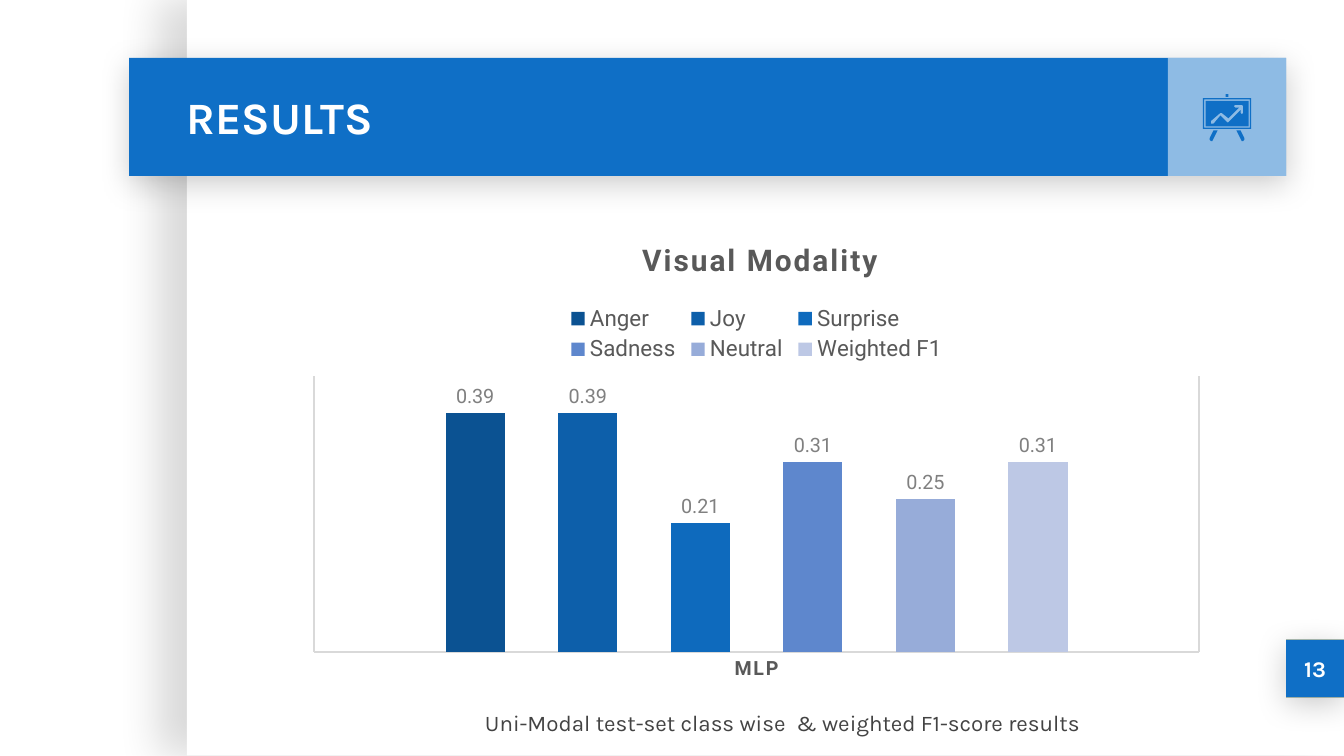
from lxml.etree import SubElement
from pptx import Presentation
from pptx.chart.data import CategoryChartData
from pptx.dml.color import RGBColor
from pptx.enum.chart import XL_CHART_TYPE as ChartType
from pptx.enum.chart import XL_LABEL_POSITION as LabelPosition
from pptx.enum.chart import XL_LEGEND_POSITION as LegendPosition
from pptx.enum.chart import XL_TICK_MARK as TickMark
from pptx.enum.shapes import MSO_SHAPE as Shape
from pptx.enum.text import MSO_ANCHOR as Anchor
from pptx.enum.text import PP_ALIGN as Align
from pptx.oxml import parse_xml
from pptx.oxml.ns import nsdecls, qn
from pptx.util import Inches, Pt

COLORS = {
    "white": "FFFFFF", "blue": "0F6FC6", "yellow": "FFB000", "caption": "434343",
    "heading": "595959", "label": "808080", "axis": "D9D9D9", "shadow": "000000",
}
TITLE = "RESULTS"
PAGE_NUMBER = "13"
CAPTION = "Uni-Modal test-set class wise\u00a0 & weighted F1-score results"
CHART_TITLE = "Visual Modality"
CATEGORIES = ["MLP"]
SERIES = [
    ("Anger", 0.39, "0B5292"), ("Joy", 0.39, "0D5FAA"),
    ("Surprise", 0.21, "0E6ABD"), ("Sadness", 0.31, "5E87CD"),
    ("Neutral", 0.25, "97ACD9"), ("Weighted F1", 0.31, "BDC8E5"),
]
PAGE_BOX = (1.39, 0, 8.61, 5.62)
BANNER_BOX = (0.96, 0.43, 8.61, 0.88)
ICON_BOX = (8.69, 0.43, 0.88, 0.88)
TITLE_BOX = (1.29, 0.43, 7.37, 0.88)
NUMBER_BOX = (9.57, 4.76, 0.43, 0.43)
CAPTION_BOX = (3.51, 5.23, 5.61, 0.3)
CHART_BOX = (2.2, 1.65, 6.86, 3.48)
PAGE_SHADOW = (15, 22.5, 15, 180)
RAISED_SHADOW = (20, 16.9, 3.8, 90)


def rectangle(left, top, right, bottom):
    return [(left, top), (right, top), (right, bottom), (left, bottom)]


EASEL_CENTER = 9.13
LEFT_LEG = [(9.03, 0.97), (9, 1.03), (9, 1.04), (9.01, 1.05), (9.02, 1.05), (9.06, 0.97)]
RIGHT_LEG = [(2 * EASEL_CENTER - x, y) for x, y in LEFT_LEG]
TREND_ARROW = [
    (9.19, 0.78), (9.24, 0.78), (9.25, 0.79), (9.25, 0.84), (9.24, 0.85),
    (9.23, 0.84), (9.23, 0.82), (9.14, 0.91), (9.13, 0.91), (9.08, 0.86),
    (9.03, 0.92), (9.01, 0.92), (9.01, 0.9), (9.08, 0.84), (9.09, 0.84),
    (9.14, 0.88), (9.22, 0.8), (9.19, 0.8), (9.18, 0.79),
]
EASEL = [
    [rectangle(8.96, 0.74, 9.3, 0.95), rectangle(8.95, 0.73, 9.31, 0.96)],
    [[(9.13, 0.7), (9.12, 0.7), (9.12, 0.72), (9.14, 0.72), (9.14, 0.7)]],
    [LEFT_LEG],
    [RIGHT_LEG],
    [TREND_ARROW, rectangle(8.97, 0.75, 9.29, 0.94)],
]


def rgb(value):
    return RGBColor.from_string(value)


def inches(values):
    return [Inches(value) for value in values]


def paint(shape, color):
    shape.shadow.inherit = False
    shape.fill.solid()
    shape.fill.fore_color.rgb = rgb(color)
    shape.line.fill.background()


def add_box(slide, box, color, shadow=None, opacity=None):
    shape = slide.shapes.add_shape(Shape.RECTANGLE, *inches(box))
    paint(shape, color)
    properties = shape.element.spPr
    if shadow:
        alpha, blur, distance, angle = shadow
        outer = SubElement(
            properties.find(qn("a:effectLst")), qn("a:outerShdw"),
            blurRad=str(Pt(blur)), dist=str(Pt(distance)),
            dir=str(angle * 60000), algn="bl", rotWithShape="0")
        tint = SubElement(outer, qn("a:srgbClr"), val=COLORS["shadow"])
        SubElement(tint, qn("a:alpha"), val=str(alpha * 1000))
    if opacity:
        tint = properties.find(qn("a:solidFill")).find(qn("a:srgbClr"))
        SubElement(tint, qn("a:alpha"), val=str(opacity * 1000))
    return shape


def style_font(font, size, color, name="Roboto", bold=False):
    font.name, font.size, font.bold = name, Pt(size), bold
    font.color.rgb = rgb(color)


def write(shape, text, size, color, bold=False, align=Align.LEFT, margin=0.1):
    frame = shape.text_frame
    frame.text = text
    frame.word_wrap = True
    frame.vertical_anchor = Anchor.MIDDLE
    frame.margin_left = frame.margin_right = Inches(0.1)
    frame.margin_top = frame.margin_bottom = Inches(margin)
    paragraph = frame.paragraphs[0]
    paragraph.alignment = align
    style_font(paragraph.runs[0].font, size, color, "Karla", bold)


def add_outline(slide, contours, color):
    first, *others = [[inches(point) for point in contour] for contour in contours]
    builder = slide.shapes.build_freeform(*first[0])
    builder.add_line_segments(first[1:])
    for contour in others:
        builder.move_to(*contour[0])
        builder.add_line_segments(contour[1:])
    paint(builder.convert_to_shape(), color)


def set_layout(element, previous, x, y, width=None, height=None, inner=False):
    parts = [("xMode", "edge"), ("yMode", "edge"), ("x", x), ("y", y)]
    if inner:
        parts.insert(0, ("layoutTarget", "inner"))
    if width:
        parts += [("w", width), ("h", height)]
    body = "".join(f'<c:{tag} val="{value}"/>' for tag, value in parts)
    for old in element.findall(qn("c:layout")):
        element.remove(old)
    layout = parse_xml(
        f'<c:layout {nsdecls("c")}><c:manualLayout>{body}</c:manualLayout></c:layout>')
    anchor = element.find(qn(previous)) if previous else None
    element.insert(0 if anchor is None else element.index(anchor) + 1, layout)


def add_results_chart(slide):
    data = CategoryChartData()
    data.categories = CATEGORIES
    for name, value, _ in SERIES:
        data.add_series(name, [value])
    chart = slide.shapes.add_chart(
        ChartType.COLUMN_CLUSTERED, *inches(CHART_BOX), data).chart
    style_font(chart.font, 10, COLORS["shadow"])

    chart.has_title = True
    chart.chart_title.text_frame.text = CHART_TITLE
    title_font = chart.chart_title.text_frame.paragraphs[0].runs[0].font
    style_font(title_font, 16, COLORS["heading"], bold=True)
    set_layout(chart.chart_title._element, "c:tx", 0.37, 0.03)

    chart.has_legend = True
    chart.legend.position = LegendPosition.TOP
    chart.legend.include_in_layout = False
    style_font(chart.legend.font, 12, COLORS["heading"])
    set_layout(chart.legend._element, "c:legendPos", 0.29, 0.17, 0.42, 0.14)

    axis = chart.category_axis
    axis.major_tick_mark = axis.minor_tick_mark = TickMark.NONE
    axis.has_major_gridlines = True
    for line in (axis.format.line, axis.major_gridlines.format.line):
        line.color.rgb = rgb(COLORS["axis"])
        line.width = Pt(0.75)
    axis_font = axis.tick_labels.font
    style_font(axis_font, 10.5, COLORS["heading"], bold=True)
    for font, spacing in ((title_font, 120), (axis_font, 100)):
        font._element.set("spc", str(spacing))
    values = chart.value_axis
    values.minimum_scale, values.maximum_scale = 0, 0.45
    values.has_major_gridlines = False
    values.visible = False

    plot = chart.plots[0]
    plot.gap_width, plot.overlap = 444, -90
    plot.vary_by_categories = False
    for series, (_, _, color) in zip(plot.series, SERIES):
        series.format.fill.solid()
        series.format.fill.fore_color.rgb = rgb(color)
        labels = series.data_labels
        labels.show_value = True
        labels.position = LabelPosition.OUTSIDE_END
        style_font(labels.font, 10.6, COLORS["label"])
    plot_area = chart._chartSpace.chart.plotArea
    set_layout(plot_area, None, 0.02, 0.33, 0.96, 0.59, inner=True)


def main():
    presentation = Presentation()
    presentation.slide_width = Inches(10)
    presentation.slide_height = Inches(10) * 9 // 16
    slide = presentation.slides.add_slide(presentation.slide_layouts[6])
    add_box(slide, PAGE_BOX, COLORS["white"], PAGE_SHADOW)
    add_box(slide, NUMBER_BOX, COLORS["yellow"], RAISED_SHADOW)
    add_box(slide, BANNER_BOX, COLORS["blue"], RAISED_SHADOW)
    add_box(slide, ICON_BOX, COLORS["white"], opacity=53)
    title = slide.shapes.add_textbox(*inches(TITLE_BOX))
    write(title, TITLE, 24, COLORS["white"], bold=True)
    number = add_box(slide, NUMBER_BOX, COLORS["blue"])
    write(number, PAGE_NUMBER, 12, COLORS["white"], bold=True, align=Align.CENTER)
    for contours in EASEL:
        add_outline(slide, contours, COLORS["blue"])
    caption = slide.shapes.add_textbox(*inches(CAPTION_BOX))
    write(caption, CAPTION, 12, COLORS["caption"], margin=0.05)
    add_results_chart(slide)
    presentation.save("out.pptx")


if __name__ == "__main__":
    main()
